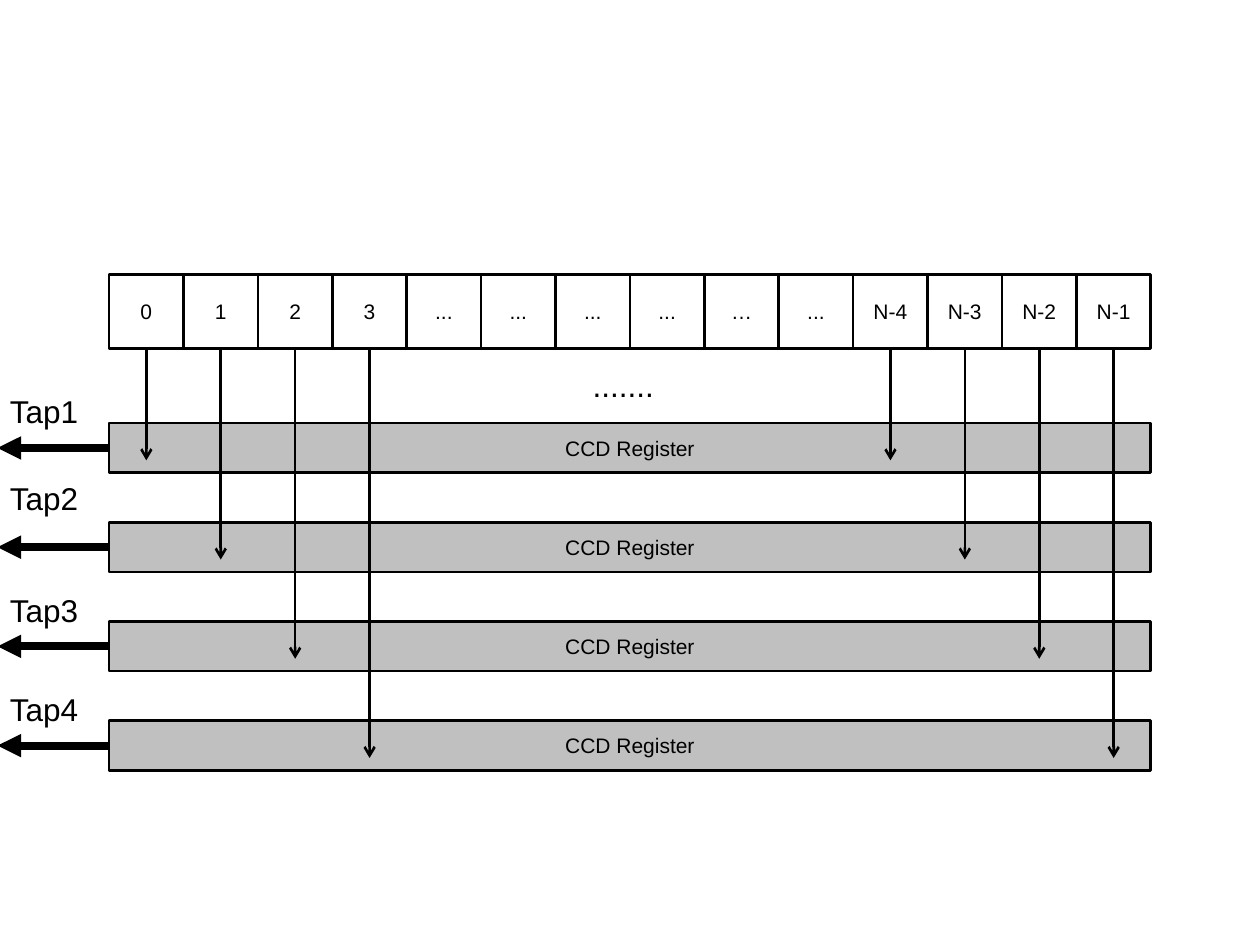
from lxml import etree
from pptx import Presentation
from pptx.dml.color import RGBColor
from pptx.enum.shapes import MSO_CONNECTOR, MSO_SHAPE
from pptx.enum.text import MSO_ANCHOR, PP_ALIGN
from pptx.oxml.ns import qn
from pptx.util import Cm, Pt

BLACK = RGBColor(0x00, 0x00, 0x00)
SILVER = RGBColor(0xC0, 0xC0, 0xC0)
RECTANGLE = MSO_SHAPE.RECTANGLE
STRAIGHT = MSO_CONNECTOR.STRAIGHT
MIDDLE = MSO_ANCHOR.MIDDLE
CENTER = PP_ALIGN.CENTER
LEFT_SIDE, BOTTOM_SIDE = 1, 2

PIXELS = ["0", "1", "2", "3", "...", "...", "...", "...", "…", "...",
          "N-4", "N-3", "N-2", "N-1"]
TAP_LABEL_RISES = {"Tap1": 0.75, "Tap2": 1, "Tap3": 0.75, "Tap4": 0.75}
PIXEL_SIZE = 1.5
REGISTER_HEIGHT = 1
REGISTER_PITCH = 2
TRANSFER_DEPTH = 0.75


def add_run(paragraph, text, size):
    """Add one black Arial run to a paragraph."""
    run = paragraph.add_run()
    run.text = text
    run.font.name = "Arial"
    run.font.size = Pt(size)
    run.font.color.rgb = BLACK


def add_box(slide, text, left, top, width, height, color=None):
    """Add an outlined rectangle with centred text, filled if a color is given."""
    shape = slide.shapes.add_shape(RECTANGLE, Cm(left), Cm(top), Cm(width), Cm(height))
    shape.shadow.inherit = False
    if color is None:
        shape.fill.background()
    else:
        shape.fill.solid()
        shape.fill.fore_color.rgb = color
    shape.line.color.rgb = BLACK
    shape.line.width = Pt(1.5)
    frame = shape.text_frame
    frame.word_wrap = False
    frame.vertical_anchor = MIDDLE
    paragraph = frame.paragraphs[0]
    paragraph.alignment = CENTER
    add_run(paragraph, text, 12)
    return shape


def add_label(slide, text, left, top, width, space_before=0):
    """Add a large text label without fill or outline."""
    text_box = slide.shapes.add_textbox(Cm(left), Cm(top), Cm(width), Cm(1.02))
    text_box.text_frame.word_wrap = True
    paragraph = text_box.text_frame.paragraphs[0]
    paragraph.space_before = Pt(space_before)
    add_run(paragraph, text, 18)


def add_arrow(slide, source, side, end_left, end_top, width, head):
    """Add an arrow that starts at a side of the source shape."""
    end_x, end_y = Cm(end_left), Cm(end_top)
    connector = slide.shapes.add_connector(STRAIGHT, end_x, end_y, end_x, end_y)
    connector.begin_connect(source, side)
    connector.line.color.rgb = BLACK
    connector.line.width = Pt(width)
    line = connector.line._get_or_add_ln()
    etree.SubElement(line, qn("a:tailEnd"), type=head)
    etree.SubElement(connector._element.spPr, qn("a:effectLst"))


def add_registers(slide, left, top, width):
    """Stack one register bar for each tap and return the bars."""
    return [
        add_box(slide, "CCD Register", left, top + index * REGISTER_PITCH,
                width, REGISTER_HEIGHT, SILVER)
        for index in range(len(TAP_LABEL_RISES))
    ]


def add_pixel_row(slide, left, top):
    """Lay the pixel cells side by side and return them."""
    return [
        add_box(slide, text, left + index * PIXEL_SIZE, top, PIXEL_SIZE, PIXEL_SIZE)
        for index, text in enumerate(PIXELS)
    ]


def add_transfers(slide, cells, left, top):
    """Draw arrows from the first and last cells down into the registers."""
    tap_count = len(TAP_LABEL_RISES)
    for first in (0, len(cells) - tap_count):
        for tap in range(tap_count):
            index = first + tap
            add_arrow(slide, cells[index], BOTTOM_SIDE,
                      left + (index + 0.5) * PIXEL_SIZE,
                      top + tap * REGISTER_PITCH + TRANSFER_DEPTH, 1.5, "arrow")


def add_taps(slide, registers, left, top, width):
    """Draw the labelled output arrow of each register."""
    for index, (text, rise) in enumerate(TAP_LABEL_RISES.items()):
        register_top = top + index * REGISTER_PITCH
        add_label(slide, text, left, register_top - rise, width, 11.2)
        add_arrow(slide, registers[index], LEFT_SIDE, left,
                  register_top + REGISTER_HEIGHT / 2, 4.5, "triangle")


def add_sensor(slide, left, top):
    """Draw the whole sensor diagram with its pixel row at the given corner."""
    register_top = top + 2 * PIXEL_SIZE
    registers = add_registers(slide, left, register_top, len(PIXELS) * PIXEL_SIZE)
    cells = add_pixel_row(slide, left, top)
    add_transfers(slide, cells, left, register_top)
    add_taps(slide, registers, left - 2.25, register_top, 2.2)
    add_label(slide, ".......", left + 9.5, top + 1.73, 1.8)


def main():
    """Build and save the presentation."""
    presentation = Presentation()
    presentation.slide_width = Cm(25.4)
    presentation.slide_height = Cm(19.05)
    slide = presentation.slides.add_slide(presentation.slide_layouts[6])
    add_sensor(slide, 2.2, 5.53)
    presentation.save("out.pptx")


if __name__ == "__main__":
    main()
